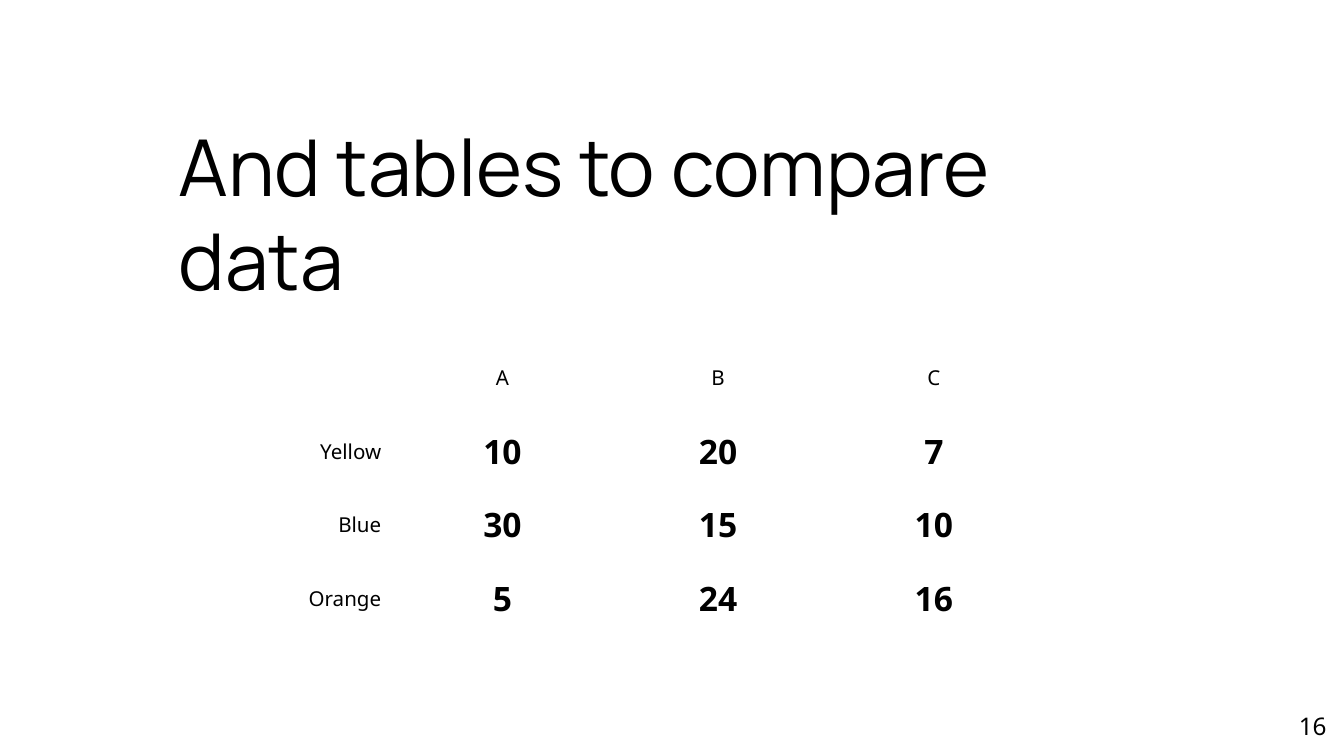
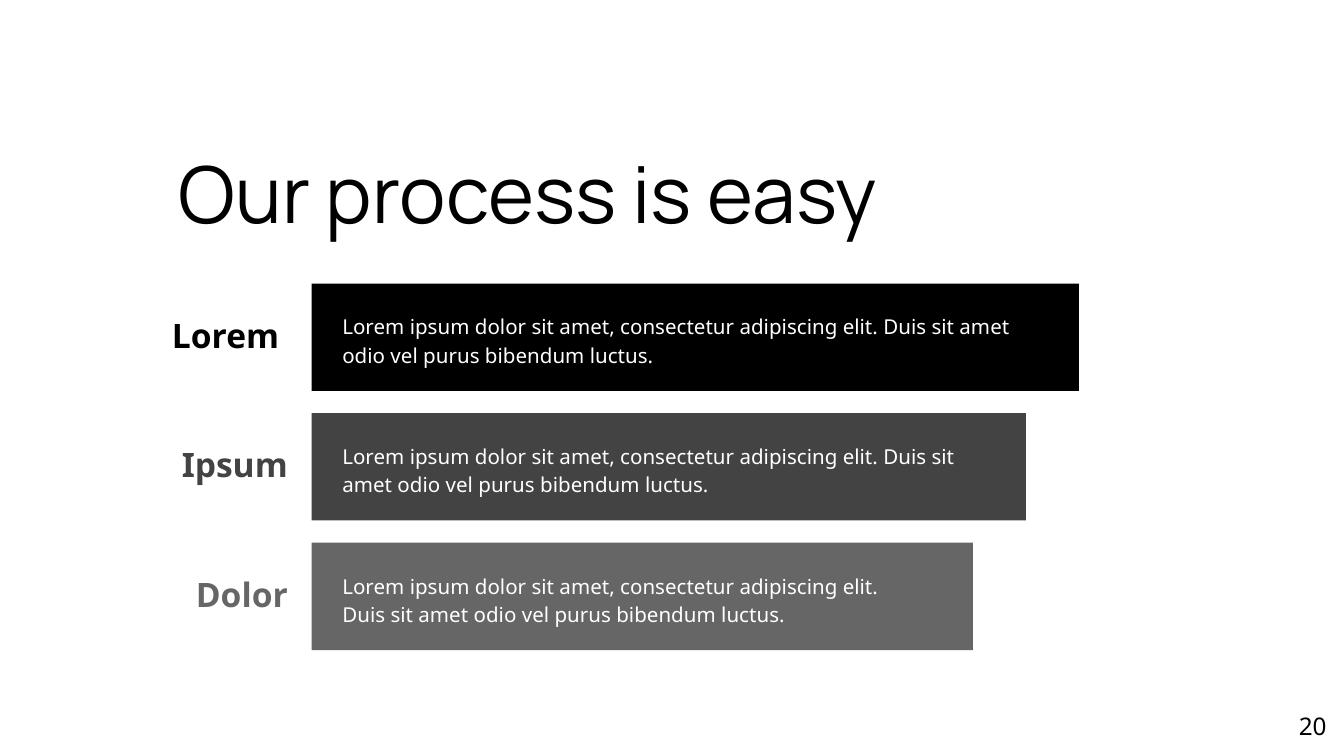
from lxml import etree
from pptx import Presentation
from pptx.dml.color import RGBColor
from pptx.enum.shapes import MSO_SHAPE
from pptx.enum.text import MSO_ANCHOR, PP_ALIGN
from pptx.oxml.ns import qn
from pptx.util import Cm, Pt

RECTANGLE = MSO_SHAPE.RECTANGLE
LEFT, CENTER, RIGHT = PP_ALIGN.LEFT, PP_ALIGN.CENTER, PP_ALIGN.RIGHT
MIDDLE, BOTTOM = MSO_ANCHOR.MIDDLE, MSO_ANCHOR.BOTTOM

COLORS = {
    "black": "000000",
    "dark": "434343",
    "gray": "666666",
    "white": "FFFFFF",
}
TITLE_FONT = "Manrope"
BODY_FONT = "Noto Sans"
NO_INSETS = (0, 0)
TEXT_INSETS = (0.25, 0.13)
CELL_INSETS = (0.25, 0.18)
CONTENT_LEFT = 3.38

COMPARISON = [
    ["", "A", "B", "C"],
    ["Yellow", "10", "20", "7"],
    ["Blue", "30", "15", "10"],
    ["Orange", "5", "24", "16"],
]
STEP_TEXT = (
    "Lorem ipsum dolor sit amet, consectetur adipiscing elit. "
    "Duis sit amet odio vel purus bibendum luctus."
)
# Label, colour, width of the bar's text
STEPS = [
    ("Lorem ", "black", 13.23),
    ("Ipsum", "dark", 12.14),
    ("Dolor", "gray", 10.69),
]


def write(frame, text, font=BODY_FONT, size=11, color="black", bold=False,
          align=LEFT, spacing=None):
    """Fill a text frame with one formatted paragraph."""
    paragraph = frame.paragraphs[0]
    paragraph.alignment = align
    if spacing:
        paragraph.line_spacing = spacing
    run = paragraph.add_run()
    run.text = text
    run.font.name = font
    run.font.size = Pt(size)
    run.font.bold = bold
    run.font.color.rgb = RGBColor.from_string(COLORS[color])


def set_insets(target, insets):
    horizontal, vertical = insets
    target.margin_left = target.margin_right = Cm(horizontal)
    target.margin_top = target.margin_bottom = Cm(vertical)


def add_text(shapes, box, text, insets=TEXT_INSETS, anchor=MIDDLE, **text_format):
    frame = shapes.add_textbox(*map(Cm, box)).text_frame
    frame.word_wrap = True
    frame.vertical_anchor = anchor
    set_insets(frame, insets)
    write(frame, text, **text_format)


def add_base_slide(presentation, title, title_top, number):
    """Add a white slide with its title and page number."""
    slide = presentation.slides.add_slide(presentation.slide_layouts[6])
    slide.background.fill.solid()
    slide.background.fill.fore_color.rgb = RGBColor.from_string(COLORS["white"])
    add_text(slide.shapes, (CONTENT_LEFT, title_top, 18.64, 1.73), title,
             insets=NO_INSETS, anchor=BOTTOM, font=TITLE_FONT, size=42)
    add_text(slide.shapes, (23.55, 13.18, 1.52, 1.09), number,
             insets=NO_INSETS, size=13, align=RIGHT)
    return slide


def add_borders(cell, outer_sides):
    """Draw white cell borders, thicker on the outer sides of the table."""
    properties = cell._tc.get_or_add_tcPr()
    for side in "LRTB":
        width = Pt(3 if side in outer_sides else 0.75)
        line = etree.SubElement(properties, qn(f"a:ln{side}"), w=str(width))
        fill = etree.SubElement(line, qn("a:solidFill"))
        etree.SubElement(fill, qn("a:srgbClr"), val=COLORS["white"])


def add_comparison_table(slide, box, rows):
    row_count, column_count = len(rows), len(rows[0])
    table = slide.shapes.add_table(row_count, column_count, *map(Cm, box)).table
    table.first_row = table.horz_banding = False
    for row_index, values in enumerate(rows):
        for column_index, value in enumerate(values):
            cell = table.cell(row_index, column_index)
            edges = {
                "L": column_index == 0,
                "R": column_index == column_count - 1,
                "T": row_index == 0,
                "B": row_index == row_count - 1,
            }
            add_borders(cell, [side for side, is_outer in edges.items() if is_outer])
            cell.fill.background()
            cell.vertical_anchor = MIDDLE
            set_insets(cell, CELL_INSETS)
            is_number = row_index > 0 and column_index > 0
            write(cell.text_frame, value, size=18 if is_number else 11,
                  bold=is_number, align=CENTER if column_index else RIGHT)


def add_step(slide, box, label, color, text_width):
    """Add a filled bar with its text inside and its label on the left."""
    left, top, width, height = box
    shapes = slide.shapes.add_group_shape().shapes
    add_text(shapes, (left - 3.12, top + 0.14, 2.92, height - 0.28), label,
             size=18, color=color, bold=True, align=RIGHT, spacing=0.9)
    bar = shapes.add_shape(RECTANGLE, *map(Cm, box))
    bar.shadow.inherit = False
    bar.fill.solid()
    bar.fill.fore_color.rgb = RGBColor.from_string(COLORS[color])
    bar.line.fill.background()
    add_text(shapes, (left + 0.33, top + 0.25, text_width, height - 0.43),
             STEP_TEXT, color="white", spacing=1.15)


def add_table_slide(presentation):
    slide = add_base_slide(presentation, "And tables to compare data", 4.06, "16")
    add_comparison_table(slide, (CONTENT_LEFT, 6.45, 16.31, 5.56), COMPARISON)


def add_process_slide(presentation):
    slide = add_base_slide(presentation, "Our process is easy", 2.79, "20")
    for index, step in enumerate(STEPS):
        add_step(slide, (5.89, 5.36 + 2.45 * index, 14.5 - index, 2.03), *step)


def main():
    presentation = Presentation()
    presentation.slide_width = Cm(25.4)
    presentation.slide_height = Cm(14.29)
    add_table_slide(presentation)
    add_process_slide(presentation)
    presentation.save("out.pptx")


if __name__ == "__main__":
    main()
